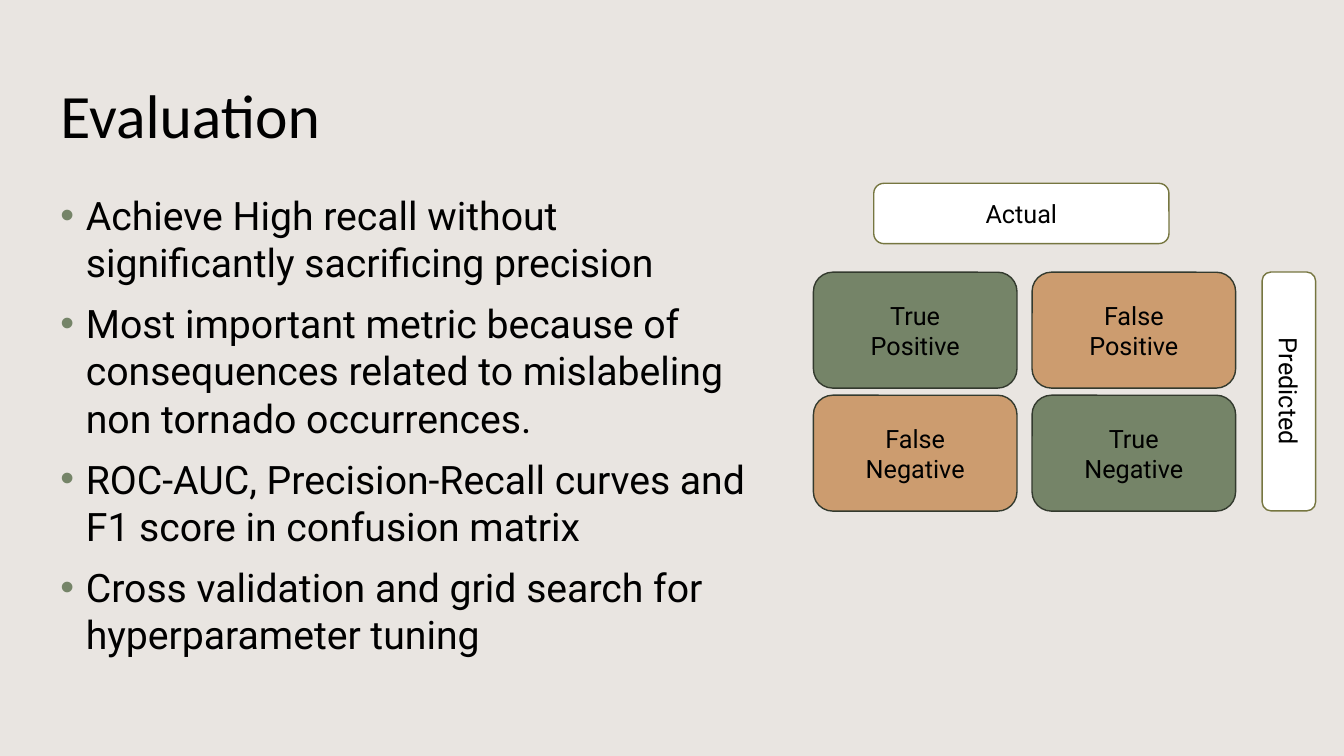
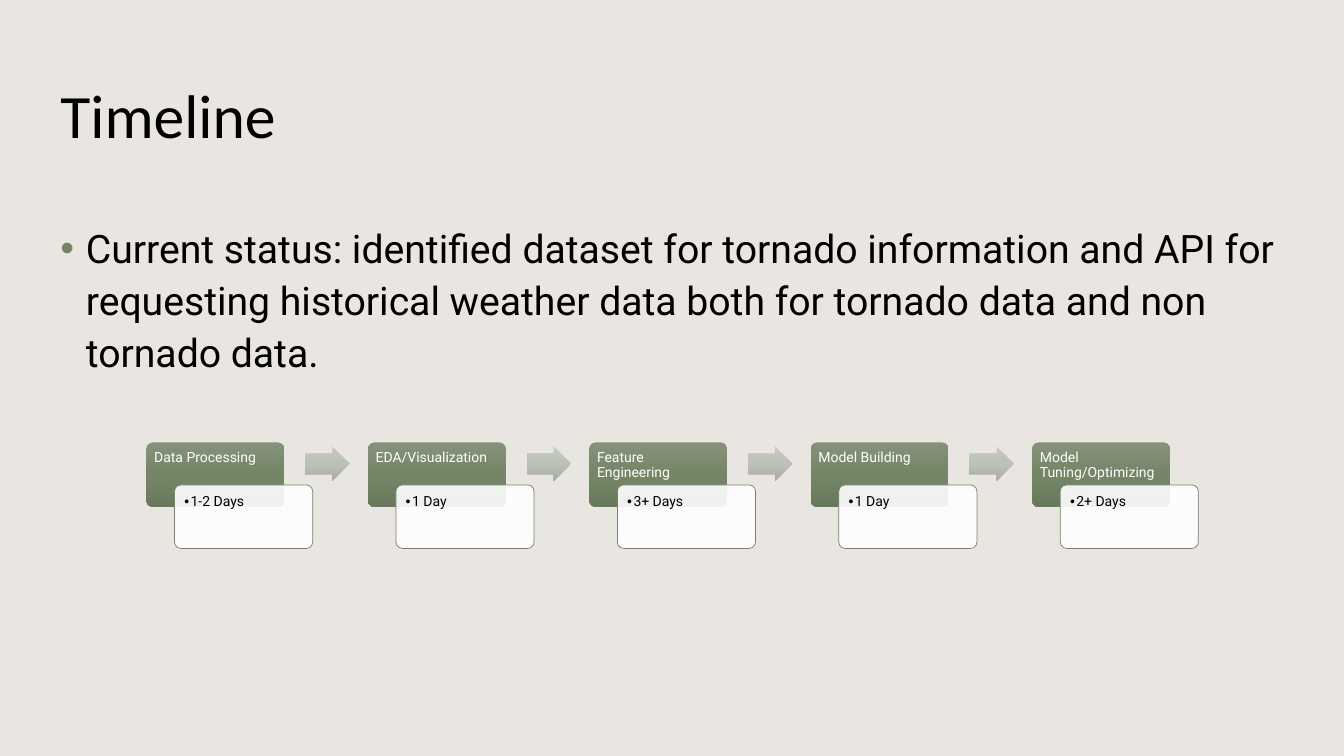
from copy import deepcopy
from dataclasses import dataclass

from lxml.etree import SubElement
from pptx import Presentation
from pptx.dml.color import RGBColor
from pptx.enum.shapes import MSO_SHAPE
from pptx.enum.text import MSO_ANCHOR, MSO_AUTO_SIZE, PP_ALIGN
from pptx.oxml.ns import qn
from pptx.util import Cm, Pt


@dataclass(frozen=True)
class Theme:
    background: str = "E9E5E1"
    black: str = "000000"
    white: str = "FFFFFF"
    green: str = "758468"
    orange: str = "CC9C6F"
    cell_line: str = "333A2E"
    axis_line: str = "767640"
    step_gradient: tuple = ("85927A", "758567", "68785A")
    arrow_gradient: tuple = ("C5CAC1", "BDC2B8", "A8ADA3")
    title_font: str = "Calibri"
    body_font: str = "Roboto"
    title_size: int = 44
    body_size: int = 28
    label_size: int = 18
    step_size: int = 10


T = Theme()

EVALUATION = [
    "Achieve High recall without significantly sacrificing precision",
    "Most important metric because of consequences related to mislabeling non tornado occurrences.",
    "ROC-AUC, Precision-Recall curves and F1 score in confusion matrix",
    "Cross validation and grid search for hyperparameter tuning",
]
MATRIX = [
    [("True Positive", T.green), ("False Positive", T.orange)],
    [("False Negative", T.orange), ("True Negative", T.green)],
]
AXES = [
    ("Actual", (22.02, 4.62, 7.44, 1.52), 0),
    ("Predicted", (29.47, 9.19, 6.02, 1.35), 90),
]
STATUS = [
    "Current status: identified dataset for tornado information and API for "
    "requesting historical weather data both for tornado data and non tornado data.",
]
STEPS = [
    ("Data Processing", "1-2 Days"),
    ("EDA/Visualization", "1 Day"),
    ("Feature Engineering", "3+ Days"),
    ("Model Building", "1 Day"),
    ("Model Tuning/Optimizing", "2+ Days"),
]


def rgb(color):
    return RGBColor.from_string(color)


def place(sp, box):
    sp.left, sp.top, sp.width, sp.height = (Cm(v) for v in box)


def add_run(p, text, size, color=T.black, font=T.body_font):
    r = p.add_run()
    r.text = text
    r.font.name = font
    r.font.size = Pt(size)
    r.font.color.rgb = rgb(color)


def add_bullet(p, indent, color):
    pPr = p._p.get_or_add_pPr()
    pPr.set("marL", str(Cm(indent)))
    pPr.set("indent", str(-Cm(indent)))
    SubElement(SubElement(pPr, qn("a:buClr")), qn("a:srgbClr"), val=color)
    SubElement(pPr, qn("a:buFont"), typeface="Arial")
    SubElement(pPr, qn("a:buChar"), char="•")


def add_slide(prs, title, items, body_box, line_spacing):
    s = prs.slides.add_slide(prs.slide_layouts[1])
    sp = s.shapes.title
    place(sp, (1.27, 1.02, 30.28, 3.68))
    tf = sp.text_frame
    tf.vertical_anchor = MSO_ANCHOR.MIDDLE
    tf.auto_size = MSO_AUTO_SIZE.NONE
    p = tf.paragraphs[0]
    p.alignment = PP_ALIGN.LEFT
    add_run(p, title, T.title_size, font=T.title_font)

    sp = s.placeholders[1]
    place(sp, body_box)
    tf = sp.text_frame
    tf.auto_size = MSO_AUTO_SIZE.NONE
    for i, text in enumerate(items):
        p = tf.add_paragraph() if i else tf.paragraphs[0]
        add_bullet(p, 0.64, T.green)
        p.line_spacing = line_spacing
        p.space_before = Pt(10 if i else 0)
        add_run(p, text, T.body_size)
    return s


def add_box(s, kind, box, fill, line=None, width=1, alpha=None, adjust=()):
    sp = s.shapes.add_shape(kind, *(Cm(v) for v in box))
    sp.shadow.inherit = False
    for i, value in enumerate(adjust):
        sp.adjustments[i] = value
    if isinstance(fill, tuple):
        sp.fill.gradient()
        sp.fill.gradient_angle = 270
        stops = sp._element.spPr.find(".//" + qn("a:gsLst"))
        stops.insert(1, deepcopy(stops[0]))
        for i, (stop, color) in enumerate(zip(sp.fill.gradient_stops, fill)):
            stop.position = i / 2
            stop.color.rgb = rgb(color)
    else:
        sp.fill.solid()
        sp.fill.fore_color.rgb = rgb(fill)
    if alpha:
        color = sp._element.spPr.find(qn("a:solidFill"))[0]
        SubElement(color, qn("a:alpha"), val=str(alpha * 1000))
    if line:
        sp.line.color.rgb = rgb(line)
        sp.line.width = Pt(width)
    else:
        sp.line.fill.background()
    return sp


def add_label(sp, text, inset=0.25):
    tf = sp.text_frame
    tf.word_wrap = True
    tf.vertical_anchor = MSO_ANCHOR.MIDDLE
    tf.margin_left = tf.margin_right = Cm(inset)
    p = tf.paragraphs[0]
    p.alignment = PP_ALIGN.CENTER
    add_run(p, text, T.label_size)


def add_step_text(sp, text, inset, color, bullet=False):
    tf = sp.text_frame
    tf.word_wrap = True
    tf.vertical_anchor = MSO_ANCHOR.TOP
    tf.margin_left = tf.margin_right = tf.margin_top = tf.margin_bottom = Cm(inset)
    p = tf.paragraphs[0]
    p.alignment = PP_ALIGN.LEFT
    if bullet:
        add_bullet(p, 0.16, color)
    p.line_spacing = 0.9
    add_run(p, text, T.step_size, color)


def draw_matrix(s):
    for i, row in enumerate(MATRIX):
        for j, (text, color) in enumerate(row):
            box = (20.5 + j * 5.51, 6.86 + i * 3.1, 5.13, 2.92)
            sp = add_box(s, MSO_SHAPE.ROUNDED_RECTANGLE, box, color, T.cell_line)
            add_label(sp, text, 0.9)
    for text, box, rotation in AXES:
        sp = add_box(s, MSO_SHAPE.ROUNDED_RECTANGLE, box, T.white, T.axis_line)
        sp.rotation = rotation
        add_label(sp, text)


def draw_timeline(s):
    for i, (name, duration) in enumerate(STEPS):
        x, y = 3.69 + i * 5.58, 11.15
        sp = add_box(s, MSO_SHAPE.ROUNDED_RECTANGLE, (x, y, 3.48, 1.62),
                     T.step_gradient, adjust=(0.1,))
        add_step_text(sp, name, 0.15, T.white)
        sp = add_box(s, MSO_SHAPE.ROUNDED_RECTANGLE, (x + 0.71, y + 1.07, 3.48, 1.6),
                     T.white, T.green, 0.5, 90, (0.1,))
        add_step_text(sp, duration, 0.2, T.black, bullet=True)
        if i < len(STEPS) - 1:
            add_box(s, MSO_SHAPE.RIGHT_ARROW, (x + 4, y + 0.1, 1.12, 0.87),
                    T.arrow_gradient, adjust=(0.6, 0.5))


def main():
    prs = Presentation()
    prs.slide_width, prs.slide_height = Cm(33.87), Cm(19.05)
    fill = prs.slide_master.background.fill
    fill.solid()
    fill.fore_color.rgb = rgb(T.background)

    draw_matrix(add_slide(prs, "Evaluation", EVALUATION, (1.27, 4.7, 17.83, 12.37), 1.0))
    draw_timeline(add_slide(prs, "Timeline", STATUS, (1.27, 5.41, 31.32, 11.66), 1.1))
    prs.save("out.pptx")


if __name__ == "__main__":
    main()
